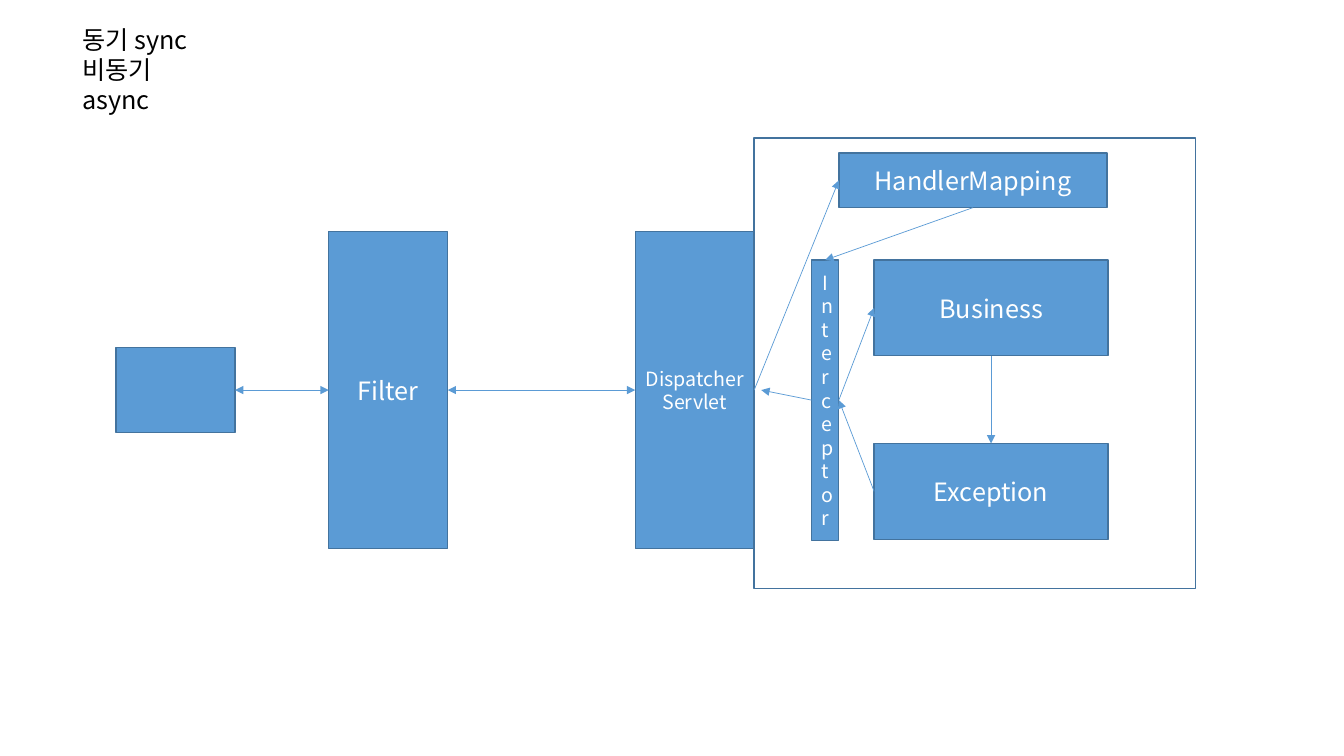
"""Build a slide showing how a web request flows from filter to handlers."""
from dataclasses import dataclass

from lxml import etree
from pptx import Presentation
from pptx.dml.color import RGBColor
from pptx.enum import shapes, text
from pptx.oxml.ns import qn
from pptx.util import Inches, Pt

NOTES = ["동기 sync", "비동기 async"]
NOTES_AREA = (0.72, 0.19, 1.55, 1.0)

TOP, LEFT, BOTTOM, RIGHT = range(4)
MIDDLE = 3.87
STAGE_WIDTH = 1.18
HANDLER_LEFT, HANDLER_WIDTH, HANDLER_HEIGHT = 8.67, 2.32, 0.95


@dataclass(frozen=True)
class Theme:
    """Colours, font and sizes of the slide."""
    font: str = "Noto Sans CJK KR"
    fill: RGBColor = RGBColor(0x5B, 0x9B, 0xD5)
    border: RGBColor = RGBColor(0x43, 0x73, 0x9E)
    dark: RGBColor = RGBColor(0, 0, 0)
    light: RGBColor = RGBColor(0xFF, 0xFF, 0xFF)
    normal: int = 18
    small: int = 14
    border_width: float = 1
    arrow_width: float = 0.5


THEME = Theme()


def stage(left, height):
    """Return the area of a stage centred on the main line."""
    return left, MIDDLE - height / 2, STAGE_WIDTH, height


def handler(top):
    """Return the area of a handler in the right column."""
    return HANDLER_LEFT, top, HANDLER_WIDTH, HANDLER_HEIGHT


BOXES = {
    "client": ("", stage(1.15, 0.84), THEME.normal),
    "filter": ("Filter", stage(3.26, 3.14), THEME.normal),
    "dispatcher": ("DispatcherServlet", stage(6.3, 3.14), THEME.small),
    "frame": ("", (7.48, 1.37, 4.38, 4.47), THEME.normal),
    "mapping": ("HandlerMapping", (8.32, 1.52, 2.66, 0.54), THEME.normal),
    "interceptor": ("Interceptor", (8.05, 2.58, 0.27, 2.78), THEME.small),
    "business": ("Business", handler(2.58), THEME.normal),
    "exception": ("Exception", handler(4.4), THEME.normal),
}
UNFILLED = {"frame"}

ARROWS = [
    ("client", RIGHT, "filter", LEFT, True),
    ("filter", RIGHT, "dispatcher", LEFT, True),
    ("dispatcher", RIGHT, "mapping", LEFT, False),
    ("mapping", BOTTOM, "interceptor", TOP, False),
    ("interceptor", RIGHT, "business", LEFT, False),
    ("business", BOTTOM, "exception", TOP, False),
    ("exception", LEFT, "interceptor", RIGHT, False),
]
RETURN_POINT = (7.55, MIDDLE)


def style_paragraph(paragraph, size, color):
    for span in paragraph.runs:
        span.font.size = Pt(size)
        span.font.name = THEME.font
        span.font.color.rgb = color
        east_asian = etree.SubElement(span.font._element, qn("a:ea"))
        east_asian.set("typeface", THEME.font)


def add_notes(page):
    box = page.shapes.add_textbox(*map(Inches, NOTES_AREA))
    frame = box.text_frame
    frame.word_wrap = True
    frame.text = "\n".join(NOTES)
    for paragraph in frame.paragraphs:
        style_paragraph(paragraph, THEME.normal, THEME.dark)


def add_box(page, label, area, size, filled):
    box = page.shapes.add_shape(shapes.MSO_SHAPE.RECTANGLE, *map(Inches, area))
    box.shadow.inherit = False
    if filled:
        box.fill.solid()
        box.fill.fore_color.rgb = THEME.fill
    else:
        box.fill.background()
    box.line.color.rgb = THEME.border
    box.line.width = Pt(THEME.border_width)
    if label:
        frame = box.text_frame
        frame.word_wrap = True
        frame.vertical_anchor = text.MSO_ANCHOR.MIDDLE
        frame.text = label
        paragraph = frame.paragraphs[0]
        paragraph.alignment = text.PP_ALIGN.CENTER
        style_paragraph(paragraph, size, THEME.light)
    return box


def add_arrow(page, source, source_side, end=(0, 0), both=False):
    arrow = page.shapes.add_connector(
        shapes.MSO_CONNECTOR.STRAIGHT, 0, 0, *map(Inches, end))
    arrow.begin_connect(source, source_side)
    arrow.line.color.rgb = THEME.fill
    arrow.line.width = Pt(THEME.arrow_width)
    line = arrow.line._get_or_add_ln()
    for tag in ("a:headEnd", "a:tailEnd") if both else ("a:tailEnd",):
        etree.SubElement(line, qn(tag)).set("type", "triangle")
    etree.SubElement(arrow._element.spPr, qn("a:effectLst"))
    return arrow


def main():
    deck = Presentation()
    deck.slide_width, deck.slide_height = Inches(13.33), Inches(7.5)
    page = deck.slides.add_slide(deck.slide_layouts[6])
    add_notes(page)
    boxes = {name: add_box(page, *content, name not in UNFILLED)
             for name, content in BOXES.items()}
    for source, source_side, target, target_side, both in ARROWS:
        arrow = add_arrow(page, boxes[source], source_side, both=both)
        arrow.end_connect(boxes[target], target_side)
    add_arrow(page, boxes["interceptor"], LEFT, RETURN_POINT)
    deck.save("out.pptx")


if __name__ == "__main__":
    main()
